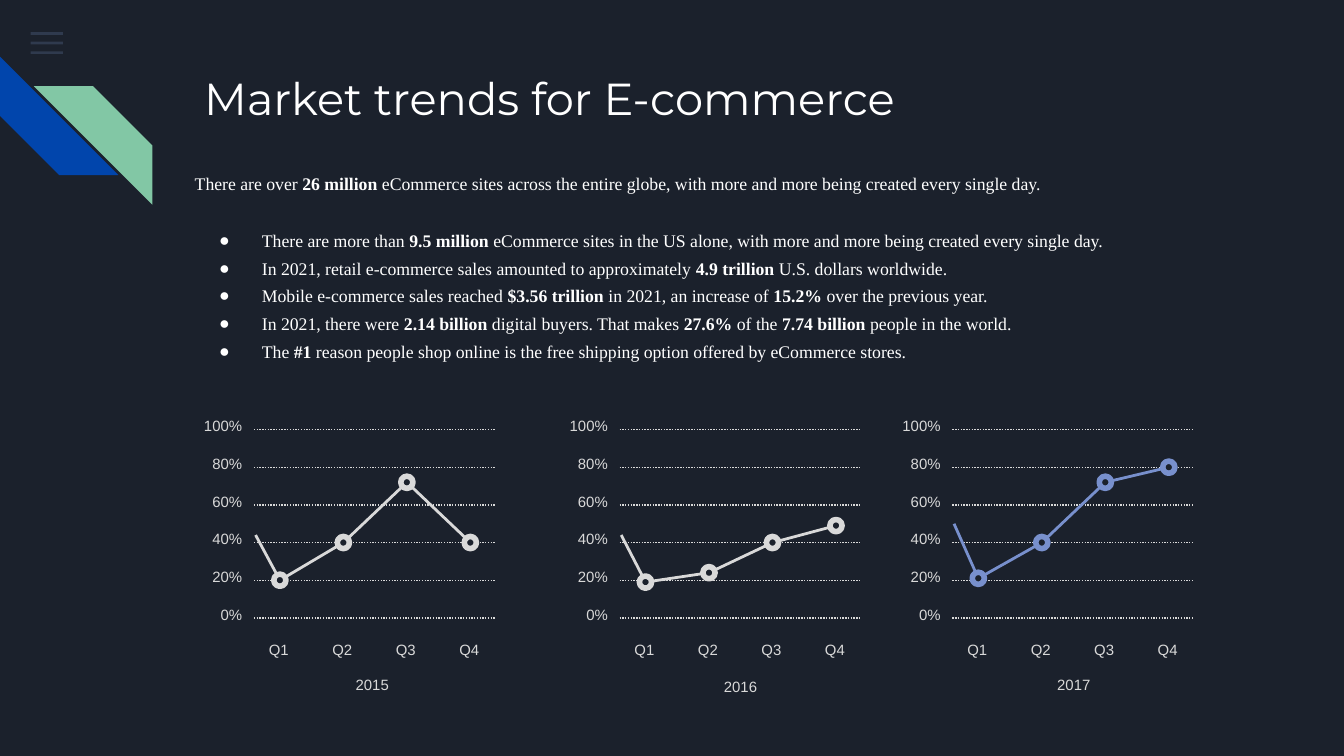
from lxml.etree import SubElement
from pptx import Presentation
from pptx.dml.color import RGBColor
from pptx.enum.dml import MSO_LINE
from pptx.enum.shapes import MSO_CONNECTOR, MSO_SHAPE
from pptx.enum.text import MSO_ANCHOR, MSO_AUTO_SIZE, PP_ALIGN
from pptx.oxml.ns import qn
from pptx.util import Cm, Pt

COLORS = {name: RGBColor.from_string(value) for name, value in {
    "background": "1B212C", "white": "FFFFFF", "gray": "D9D9D9",
    "periwinkle": "7890CD", "blue": "0145AC", "green": "82C7A5", "menu": "55688B",
}.items()}

INTRO = ("There are over **26 million** eCommerce sites across the entire globe, "
         "with more and more being created every single day.")
FACTS = [
    "There are more than **9.5 million** eCommerce sites in the US alone, "
    "with more and more being created every single day.",
    "In 2021, retail e-commerce sales amounted to approximately **4.9 trillion** U.S. dollars worldwide.",
    "Mobile e-commerce sales reached **$3.56 trillion** in 2021, an increase of **15.2%** over the previous year.",
    "In 2021, there were **2.14 billion** digital buyers. That makes **27.6%** of the "
    "**7.74 billion** people in the world.",
    "The **#1** reason people shop online is the free shipping option offered by eCommerce stores.",
]

# Year, left edge of the grid, year label (left, top), line colour,
# percentage at the left edge, percentages for Q1 to Q4
CHARTS = [
    ("2015", 4.8, (6.12, 12.52), "gray", 44, [20, 40, 72, 40]),
    ("2016", 11.71, (13.08, 12.57), "gray", 44, [19, 24, 40, 49]),
    ("2017", 18.0, (19.38, 12.52), "periwinkle", 50, [21, 40, 72, 80]),
]
GRID_WIDTH, GRID_BOTTOM, PERCENT_HEIGHT = 4.57, 11.68, 0.0356
QUARTER_STEP, DOT_START, DOT_SIZE = 1.2, 0.49, 0.23


def add_label(shapes, text, left, top, width, height, align):
    box = shapes.add_textbox(Cm(left), Cm(top), Cm(width), Cm(height))
    frame = box.text_frame
    frame.word_wrap = True
    frame.margin_left = frame.margin_right = Cm(0.25)
    frame.margin_top = frame.margin_bottom = Cm(0.25)
    para = frame.paragraphs[0]
    para.text = text
    para.alignment = align
    para.font.name = "Arial"
    para.font.size = Pt(8)
    para.font.color.rgb = COLORS["gray"]
    return para


def add_line(shapes, start, end, color, width):
    line = shapes.add_connector(MSO_CONNECTOR.STRAIGHT, *map(Cm, start + end))
    line.line.color.rgb = COLORS[color]
    line.line.width = Pt(width)
    SubElement(line._element.spPr, qn("a:effectLst"))
    return line


deck = Presentation()
deck.slide_width, deck.slide_height = Cm(25.4), Cm(14.29)
slide = deck.slides.add_slide(deck.slide_layouts[1])
slide.background.fill.solid()
slide.background.fill.fore_color.rgb = COLORS["background"]

# Menu icon
for row in range(3):
    bar = slide.shapes.add_shape(MSO_SHAPE.RECTANGLE, Cm(0.58), Cm(0.61 + 0.18 * row), Cm(0.61), Cm(0.05))
    bar.shadow.inherit = False
    bar.fill.solid()
    bar.fill.fore_color.rgb = COLORS["menu"]
    color_element = bar._element.spPr.find(qn("a:solidFill"))[0]
    SubElement(color_element, qn("a:alpha"), val="36000")
    bar.line.fill.background()

# Corner stripes
for color, left, top in [("blue", 0, 1.07), ("green", 0.64, 1.63)]:
    stripe = slide.shapes.add_shape(MSO_SHAPE.DIAGONAL_STRIPE, Cm(left), Cm(top), Cm(2.24), Cm(2.24))
    stripe.adjustments[0] = 0.5
    stripe.shadow.inherit = False
    stripe.fill.solid()
    stripe.fill.fore_color.rgb = COLORS[color]
    stripe.line.fill.background()
    if color == "blue":
        stripe.rotation = 270
    else:
        stripe._element.spPr.get_or_add_xfrm().set("flipH", "1")

# Title and body
title, body = slide.shapes.title, slide.placeholders[1]
for holder, left, top, width, height in [(title, 3.61, 1.09, 19.56, 2.54), (body, 3.43, 2.95, 19.74, 4.42)]:
    holder.left, holder.top, holder.width, holder.height = Cm(left), Cm(top), Cm(width), Cm(height)
    frame = holder.text_frame
    frame.word_wrap = True
    frame.auto_size = MSO_AUTO_SIZE.NONE
    frame.vertical_anchor = MSO_ANCHOR.TOP
    frame.margin_left = frame.margin_right = Cm(0.25)
    frame.margin_top = frame.margin_bottom = Cm(0.25)

para = title.text_frame.paragraphs[0]
para.text = "Market trends for E-commerce"
para.alignment = PP_ALIGN.LEFT
para.font.name = "Montserrat"
para.font.size = Pt(24)
para.font.color.rgb = COLORS["white"]

for index, text in enumerate([INTRO] + FACTS):
    frame = body.text_frame
    para = frame.paragraphs[0] if index == 0 else frame.add_paragraph()
    properties = para._p.get_or_add_pPr()
    if index == 0:
        properties.set("marL", "0")
        properties.set("indent", "0")
        SubElement(properties, qn("a:buNone"))
    else:
        properties.set("marL", str(Cm(1.27)))
        properties.set("indent", str(Cm(-0.81)))
        bullet_color = SubElement(properties, qn("a:buClr"))
        SubElement(bullet_color, qn("a:srgbClr"), val=str(COLORS["white"]))
        SubElement(properties, qn("a:buChar"), char="●")
    para.line_spacing = 1.15 if index == 0 else 1.3
    para.space_before = Pt(16 if index == 1 else 0)
    para.font.name = "Times New Roman"
    para.font.size = Pt(9.5)
    para.font.color.rgb = COLORS["white"]
    for part, words in enumerate(text.split("**")):
        span = para.add_run()
        span.text = words
        if part % 2:
            span.font.bold = True

# Quarterly line charts
for year, left, (year_left, year_top), color, first_percent, percents in CHARTS:
    shapes = slide.shapes.add_group_shape().shapes

    for percent in range(0, 101, 20):
        y = GRID_BOTTOM - percent * PERCENT_HEIGHT
        add_label(shapes, f"{percent}%", left - 1.24, y - 0.41, 1.27, 0.53, PP_ALIGN.RIGHT)
        grid_line = add_line(shapes, (left, y), (left + GRID_WIDTH, y), "gray", 0.75)
        grid_line.line.dash_style = MSO_LINE.ROUND_DOT

    for quarter in range(4):
        add_label(shapes, f"Q{quarter + 1}", left + quarter * QUARTER_STEP, 11.93, 0.94, 0.53, PP_ALIGN.CENTER)
    year_para = add_label(shapes, year, year_left, year_top, 1.83, 0.89, PP_ALIGN.CENTER)
    year_para.line_spacing = 1.15
    year_para.space_after = Pt(16)

    dots = [(left + DOT_START + quarter * QUARTER_STEP, GRID_BOTTOM - percent * PERCENT_HEIGHT)
            for quarter, percent in enumerate(percents)]
    line_start = (left + 0.03, GRID_BOTTOM - first_percent * PERCENT_HEIGHT)
    for start, end in zip([line_start] + dots, dots):
        add_line(shapes, start, end, color, 1.5)
    for x, y in dots:
        dot = shapes.add_shape(MSO_SHAPE.OVAL, Cm(x - DOT_SIZE / 2), Cm(y - DOT_SIZE / 2), Cm(DOT_SIZE), Cm(DOT_SIZE))
        dot.shadow.inherit = False
        dot.fill.solid()
        dot.fill.fore_color.rgb = COLORS["background"]
        dot.line.color.rgb = COLORS[color]
        dot.line.width = Pt(3)

deck.save("out.pptx")
